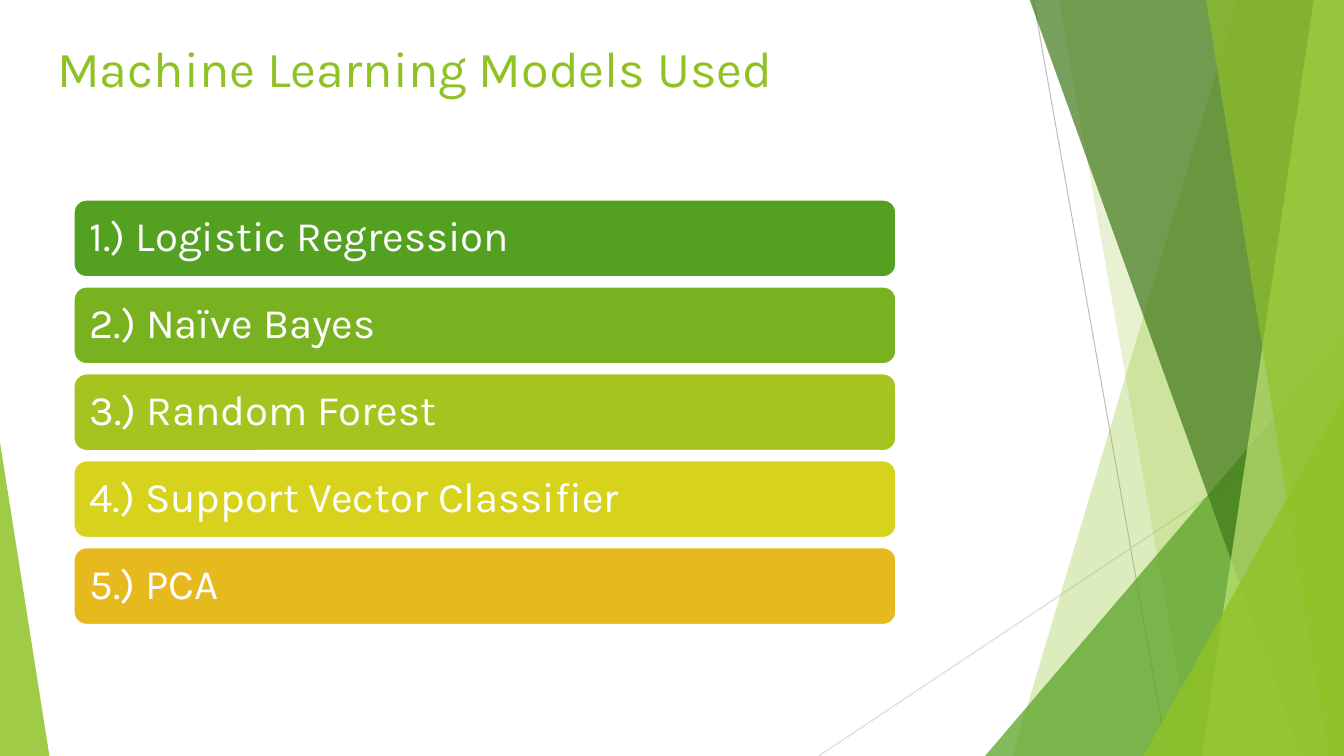
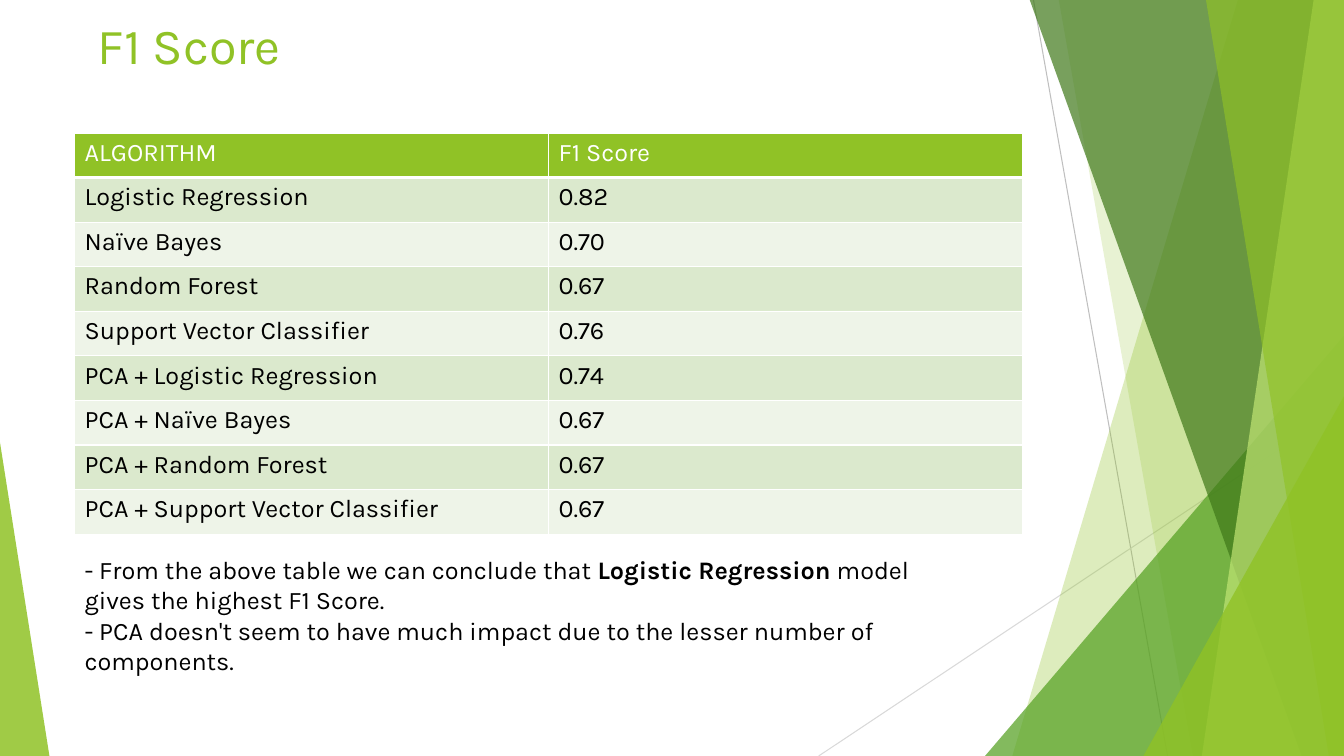
from lxml import etree
from pptx import Presentation
from pptx.dml.color import RGBColor
from pptx.enum import shapes, text
from pptx.oxml.ns import qn
from pptx.util import Inches, Pt

FONT = "Karla"
LIME, GREEN, FOREST, PALE = "90C226", "54A021", "3F7819", "C0E474"
WHITE, BLACK = "FFFFFF", "000000"
WIDTH, HEIGHT = 13.33, 7.5
EDGE_TOP = -0.01

# start, end, colour
RAYS = [
    ((10.25, 0), (11.58, HEIGHT), "BFBFBF"),
    ((WIDTH, 4.03), (8.12, HEIGHT), "D9D9D9"),
]
# Back to front. A band runs from its top x and bottom x to the right edge;
# a corner is a triangle: left, top, width, apex position.
FACETS = [
    ("band", (12.28, 10.04), LIME, 30),
    ("band", (10.5, 11.83), LIME, 20),
    ("corner", (9.77, 3.33, 3.56, 1), GREEN, 72),
    ("band", (10.21, 12.91), FOREST, 70),
    ("band", (13.03, 11.92), PALE, 70),
    ("band", (11.96, 13.18), LIME, 65),
    ("corner", (11.34, 3.93, 1.99, 1), LIME, 80),
    ("corner", (0, 4.39, 0.49, 0), LIME, 85),
]

MODELS = [
    ("1.) Logistic Regression", GREEN),
    ("2.) Naïve Bayes", "79B220"),
    ("3.) Random Forest", "A5C41F"),
    ("4.) Support Vector Classifier", "D7D31D"),
    ("5.) PCA", "E6B91E"),
]
BARS_TOP, BARS_BOTTOM, BAR_HEIGHT = 1.98, 6.2, 0.77

SCORES = [
    ("ALGORITHM", "F1 Score"),
    ("Logistic Regression", "0.82"),
    ("Naïve Bayes", "0.70"),
    ("Random Forest", "0.67"),
    ("Support Vector Classifier", "0.76"),
    ("PCA + Logistic Regression", "0.74"),
    ("PCA + Naïve Bayes", "0.67"),
    ("PCA + Random Forest", "0.67"),
    ("PCA + Support Vector Classifier", "0.67"),
]
ROW_BANDS = ["EEF4E8", "DBE9CD"]

# Each paragraph is a list of (wording, bold)
CONCLUSIONS = [
    [("- From the above table we can conclude that ", False),
     ("Logistic Regression", True),
     (" model gives the highest F1 Score.", False)],
    [("- PCA doesn't seem to have much impact due to the lesser number of "
      "components.", False)],
]


def rgb(color):
    return RGBColor.from_string(color)


def inches(*lengths):
    return [Inches(length) for length in lengths]


def style(run, size, color, bold=False):
    font = run.font
    font.name, font.size, font.bold = FONT, Pt(size), bold
    font.color.rgb = rgb(color)


def paint(shape, color, opacity=100):
    """Give a shape a flat fill with no outline or shadow."""
    shape.shadow.inherit = False
    shape.fill.solid()
    shape.fill.fore_color.rgb = rgb(color)
    shape.line.fill.background()
    if opacity < 100:
        tint = shape.element.spPr.find(qn("a:solidFill")).find(qn("a:srgbClr"))
        etree.SubElement(tint, qn("a:alpha"), val=str(opacity * 1000))


def add_ray(slide, start, end, color):
    ray = slide.shapes.add_connector(
        shapes.MSO_CONNECTOR.STRAIGHT, *inches(*start, *end))
    ray.line.color.rgb = rgb(color)
    ray.line.width = Pt(0.75)
    etree.SubElement(ray.element.spPr, qn("a:effectLst"))


def add_band(slide, top_x, bottom_x):
    outline = slide.shapes.build_freeform(*inches(top_x, EDGE_TOP))
    corners = [(WIDTH, EDGE_TOP), (WIDTH, HEIGHT), (bottom_x, HEIGHT)]
    outline.add_line_segments([inches(*corner) for corner in corners])
    return outline.convert_to_shape()


def add_corner(slide, left, top, width, apex):
    corner = slide.shapes.add_shape(
        shapes.MSO_SHAPE.ISOSCELES_TRIANGLE,
        *inches(left, top, width, HEIGHT - top))
    corner.adjustments[0] = apex
    return corner


def add_text_box(slide, box, paragraphs, size, color):
    frame = slide.shapes.add_textbox(*inches(*box)).text_frame
    frame.word_wrap = True
    for index, pieces in enumerate(paragraphs):
        paragraph = frame.add_paragraph() if index else frame.paragraphs[0]
        for wording, bold in pieces:
            run = paragraph.add_run()
            run.text = wording
            style(run, size, color, bold)


def add_base_slide(deck, title, title_box):
    """Start a slide with the faceted background and its title."""
    slide = deck.slides.add_slide(deck.slide_layouts[6])
    for ray in RAYS:
        add_ray(slide, *ray)
    builders = {"band": add_band, "corner": add_corner}
    for kind, geometry, color, opacity in FACETS:
        paint(builders[kind](slide, *geometry), color, opacity)
    add_text_box(slide, title_box, [[(title, False)]], 36, LIME)
    return slide


def add_model_bars(slide):
    pitch = (BARS_BOTTOM - BARS_TOP - BAR_HEIGHT) / (len(MODELS) - 1)
    for index, (model, color) in enumerate(MODELS):
        bar = slide.shapes.add_shape(
            shapes.MSO_SHAPE.ROUNDED_RECTANGLE,
            *inches(0.73, BARS_TOP + index * pitch, 8.16, BAR_HEIGHT))
        paint(bar, color)
        bar.line.color.rgb = rgb(WHITE)
        bar.line.width = Pt(1.5)
        frame = bar.text_frame
        frame.text = model
        frame.margin_left = frame.margin_right = Inches(0.12)
        frame.vertical_anchor = text.MSO_ANCHOR.MIDDLE
        label = frame.paragraphs[0]
        label.alignment = text.PP_ALIGN.LEFT
        label.line_spacing = 0.9
        style(label.runs[0], 30, WHITE)


def add_cell_borders(cell, bottom_width):
    properties = cell._tc.get_or_add_tcPr()
    for side, width in (("L", 1), ("R", 1), ("T", 1), ("B", bottom_width)):
        border = etree.SubElement(
            properties, qn(f"a:ln{side}"), w=str(Pt(width)))
        fill = etree.SubElement(border, qn("a:solidFill"))
        etree.SubElement(fill, qn("a:srgbClr"), val=WHITE)


def add_score_table(slide):
    table = slide.shapes.add_table(
        len(SCORES), len(SCORES[0]), *inches(0.74, 1.32, 9.4, 3.98)).table
    for row, values in enumerate(SCORES):
        header = row == 0
        for column, value in enumerate(values):
            cell = table.cell(row, column)
            cell.text = value
            style(cell.text_frame.paragraphs[0].runs[0], 18,
                  WHITE if header else BLACK)
            add_cell_borders(cell, 3 if header else 1)
            cell.fill.solid()
            cell.fill.fore_color.rgb = rgb(
                LIME if header else ROW_BANDS[row % 2])


def main():
    deck = Presentation()
    deck.slide_width, deck.slide_height = inches(WIDTH, HEIGHT)

    models_slide = add_base_slide(
        deck, "Machine Learning Models Used", (0.47, 0.32, 9.4, 1.44))
    add_model_bars(models_slide)

    scores_slide = add_base_slide(deck, "F1 Score", (0.87, 0.09, 9.27, 0.89))
    add_score_table(scores_slide)
    add_text_box(scores_slide, (0.74, 5.45, 8.41, 1.31), CONCLUSIONS, 18, BLACK)

    deck.save("out.pptx")


if __name__ == "__main__":
    main()
